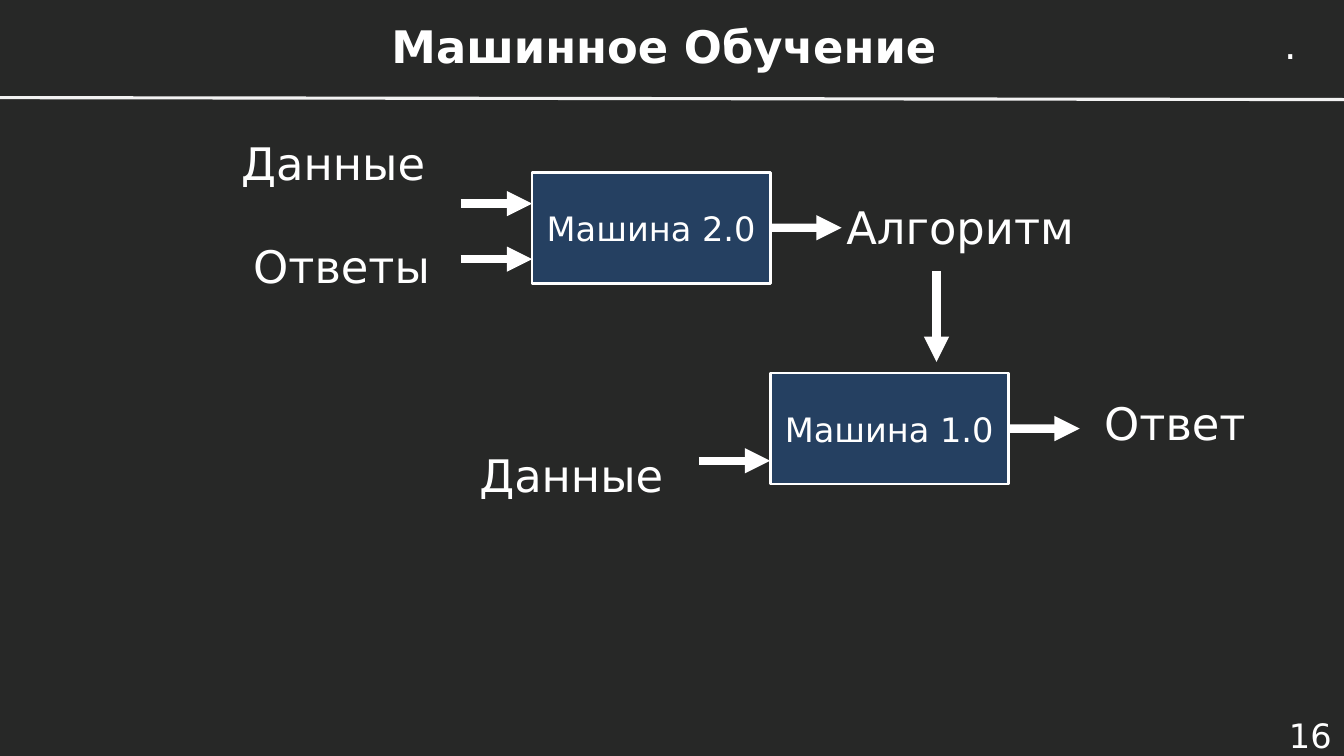
"""Build the machine learning scheme slide."""
from pptx import Presentation
from pptx.dml.color import RGBColor
from pptx.enum import shapes, text
from pptx.oxml import parse_xml
from pptx.oxml import ns
from pptx.util import Cm, Pt

FONT = "DejaVu Sans"
WHITE, NAVY, DARK, PALE = "FFFFFF", "254061", "272827", "F2F2F2"
SLIDE_W, SLIDE_H = 33.87, 19.05
TITLE = ("Машинное Обучение", 5.74, 0, 22, 2.3)
PAGE = ("16", 31.78, 17.98, 2.03, 1.07)
DOT = (".", 32.11, 0.38, 0.86, 1.45)
RULE = (0, 2.46, SLIDE_W, 2.51)

MACHINE_W, MACHINE_H = 6, 2.8
MACHINES = [
    {"name": "Машина 2.0", "at": (13.41, 4.34), "inputs": [0.79, 2.19]},
    {"name": "Машина 1.0", "at": (19.41, 9.4), "inputs": [2.21]},
]
ARROW = 1.8
ALGORITHM_ARROW = (23.6, 6.83, 23.6, 9.12)

LABEL_W, LABEL_H = 6.8, 2.3
LABELS = [
    ("Алгоритм", 20.8, 4.55),
    ("Данные", 5, 2.95),
    ("Ответы", 5.21, 5.54),
    ("Данные", 11, 10.8),
    ("Ответ", 26.21, 9.5),
]


def color(value):
    return RGBColor.from_string(value)


def write(holder, words, size, align=text.PP_ALIGN.CENTER,
          anchor=text.MSO_ANCHOR.MIDDLE, bold=False, wrap=True):
    frame = holder.text_frame
    frame.text = words
    frame.word_wrap = wrap
    frame.auto_size = text.MSO_AUTO_SIZE.NONE if wrap else text.MSO_AUTO_SIZE.SHAPE_TO_FIT_TEXT
    frame.vertical_anchor = anchor
    paragraph = frame.paragraphs[0]
    paragraph.alignment = align
    font = paragraph.runs[0].font
    font.name, font.size, font.bold = FONT, Pt(size), bold
    font.color.rgb = color(WHITE)


def add_text(slide, words, left, top, width, height, size, **style):
    holder = slide.shapes.add_textbox(Cm(left), Cm(top), Cm(width), Cm(height))
    write(holder, words, size, **style)


def add_line(slide, ends, tint=WHITE, width=6, arrow=True):
    line = slide.shapes.add_connector(
        shapes.MSO_CONNECTOR.STRAIGHT, *(Cm(end) for end in ends))
    line.line.color.rgb = color(tint)
    line.line.width = Pt(width)
    if arrow:
        line.line._get_or_add_ln().append(
            parse_xml(f'<a:tailEnd {ns.nsdecls("a")} type="triangle"/>'))
    line._element.spPr.append(parse_xml(f'<a:effectLst {ns.nsdecls("a")}/>'))
    return line


def add_machine(slide, machine):
    left, top = machine["at"]
    box = slide.shapes.add_shape(
        shapes.MSO_SHAPE.RECTANGLE, Cm(left), Cm(top), Cm(MACHINE_W), Cm(MACHINE_H))
    box.shadow.inherit = False
    box.fill.solid()
    box.fill.fore_color.rgb = color(NAVY)
    box.line.color.rgb = color(WHITE)
    box.line.width = Pt(2)
    write(box, machine["name"], 24)

    right, middle = left + MACHINE_W, top + MACHINE_H / 2
    result = add_line(slide, (right, middle, right + ARROW, middle))
    result.begin_connect(box, 3)
    for offset in machine["inputs"]:
        add_line(slide, (left - ARROW, top + offset, left, top + offset))


def main():
    deck = Presentation()
    deck.slide_width, deck.slide_height = Cm(SLIDE_W), Cm(SLIDE_H)
    slide = deck.slides.add_slide(deck.slide_layouts[5])
    slide.background.fill.solid()
    slide.background.fill.fore_color.rgb = color(DARK)

    heading, *place = TITLE
    title = slide.shapes.title
    title.left, title.top, title.width, title.height = map(Cm, place)
    write(title, heading, 32, bold=True)

    add_line(slide, RULE, PALE, 2.25, arrow=False)
    add_text(slide, *PAGE, 24, align=text.PP_ALIGN.RIGHT)
    add_text(slide, *DOT, 28, align=text.PP_ALIGN.LEFT,
             anchor=text.MSO_ANCHOR.TOP, wrap=False)
    for machine in MACHINES:
        add_machine(slide, machine)
    for words, left, top in LABELS:
        add_text(slide, words, left, top, LABEL_W, LABEL_H, 32)
    add_line(slide, ALGORITHM_ARROW)
    deck.save("out.pptx")


if __name__ == "__main__":
    main()
